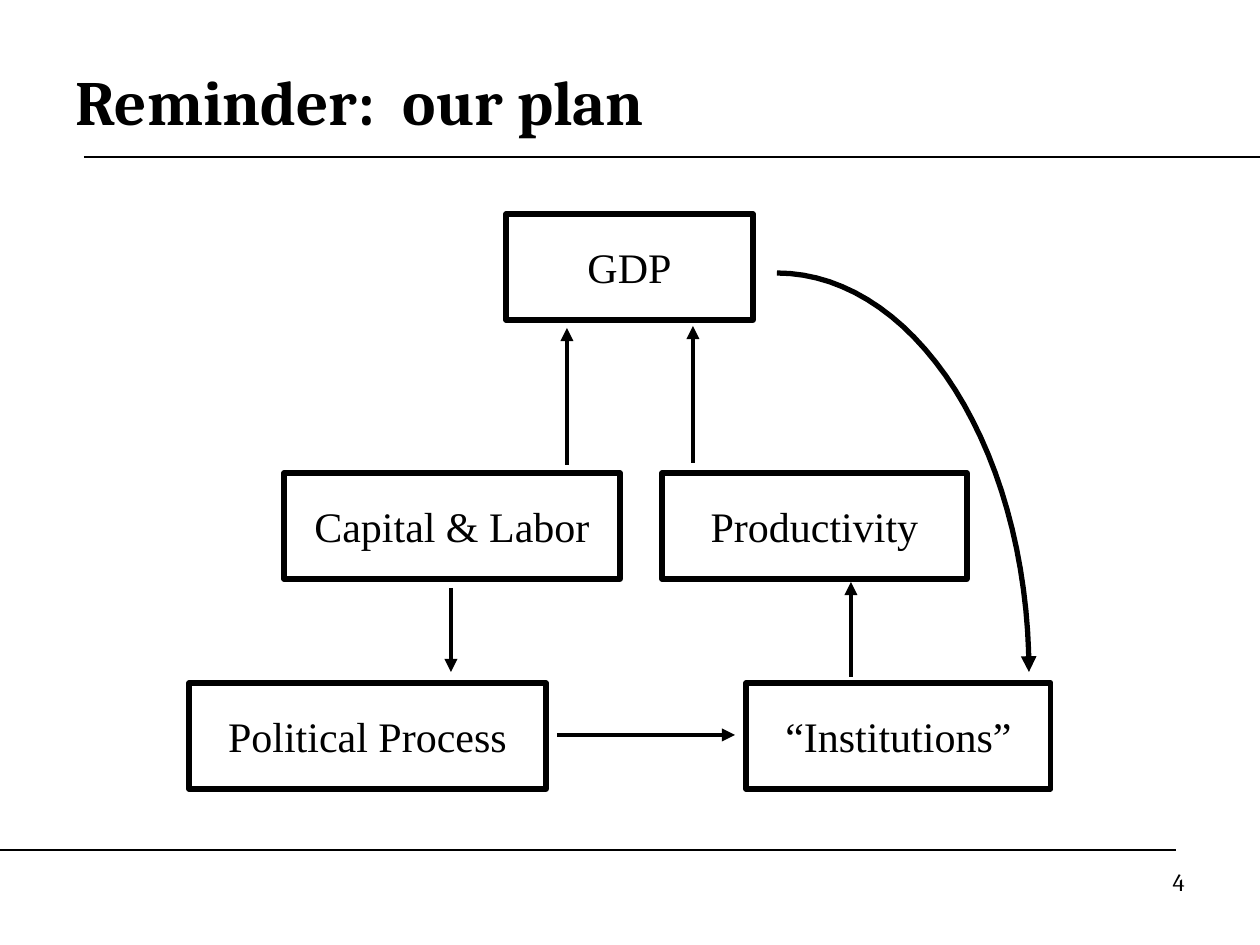
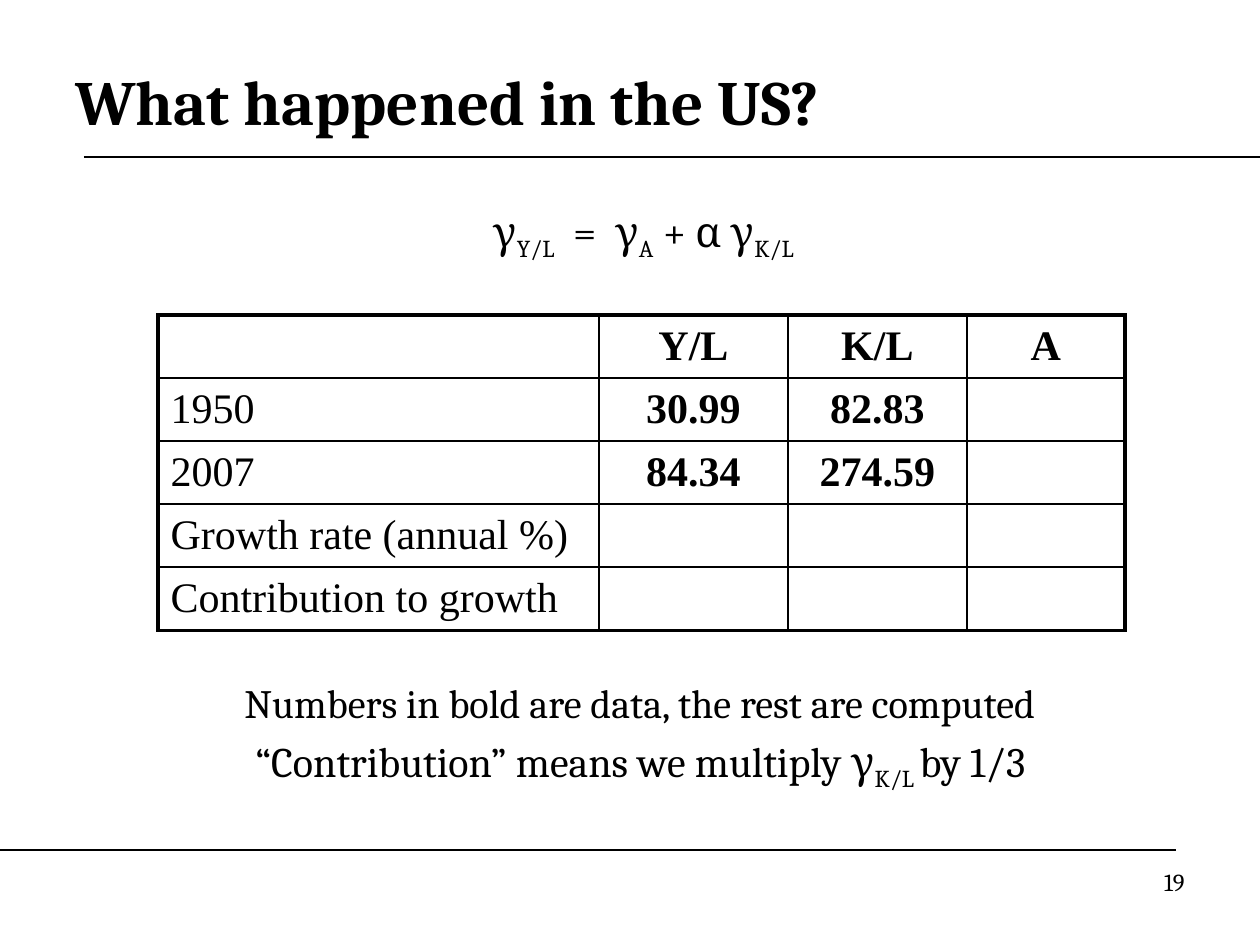
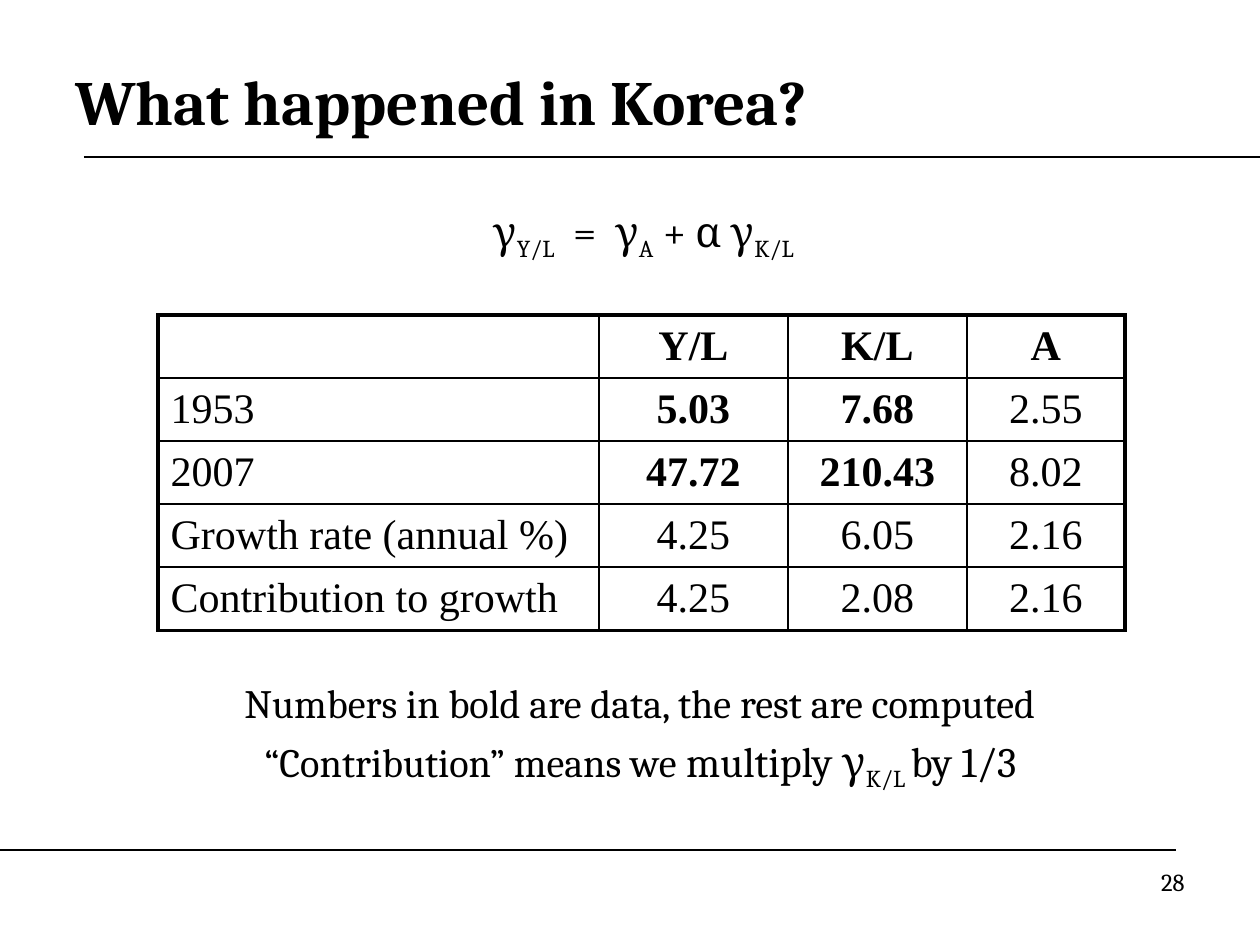
from dataclasses import dataclass
from math import cos, pi, sin

from lxml.etree import SubElement
from pptx import Presentation
from pptx.dml.color import RGBColor
from pptx.enum.shapes import MSO_CONNECTOR, MSO_SHAPE
from pptx.enum.text import MSO_ANCHOR, PP_ALIGN
from pptx.oxml import parse_xml
from pptx.oxml.ns import nsdecls, qn
from pptx.util import Inches, Pt

PX = 914400 // 126  # EMU in one px, at 126 px to the inch


@dataclass(frozen=True)
class Theme:
    ink: RGBColor = RGBColor(0, 0, 0)
    serif: str = "Cambria"
    diagram_face: str = "Times New Roman"
    title: int = 36
    body: int = 24
    note: int = 23
    number: int = 14
    rule: float = 0.75
    arrow: float = 2.5
    frame: float = 3
    table_inner: float = 1
    table_outer: float = 2.25


THEME = Theme()


def style(paragraph, face, size, align=PP_ALIGN.CENTER, bold=False):
    paragraph.alignment = align
    paragraph.font.name = face
    paragraph.font.size = Pt(size)
    paragraph.font.bold = bold
    paragraph.font.color.rgb = THEME.ink


def add_line(slide, ends, width, arrow=False):
    line = slide.shapes.add_connector(MSO_CONNECTOR.STRAIGHT, *(n * PX for n in ends))
    line.line.color.rgb = THEME.ink
    line.line.width = Pt(width)
    if arrow:
        SubElement(line.line._get_or_add_ln(), qn("a:tailEnd"), type="triangle")
    SubElement(line._element.spPr, qn("a:effectLst"))


prs = Presentation()
prs.slide_width, prs.slide_height = Inches(10), Inches(7.5)

# Title, rules and number on every slide
slides = []
for heading, number in (
    ("Reminder:  our plan", 4),
    ("What happened in the US?", 19),
    ("What happened in Korea?", 28),
):
    slide = prs.slides.add_slide(prs.slide_layouts[5])
    slides.append(slide)
    add_line(slide, (84, 157, 1260, 157), THEME.rule)
    add_line(slide, (0, 850, 1176, 850), THEME.rule)

    title = slide.shapes.title
    title.left, title.top, title.width, title.height = (n * PX for n in (63, 42, 1134, 116))
    title.text_frame.text = heading
    title.text_frame.vertical_anchor = MSO_ANCHOR.MIDDLE
    style(title.text_frame.paragraphs[0], THEME.serif, THEME.title, PP_ALIGN.LEFT, True)

    page = slide.shapes.add_textbox(*(n * PX for n in (903, 861, 294, 65))).text_frame
    page.word_wrap = True
    page.text = str(number)
    style(page.paragraphs[0], THEME.serif, THEME.number, PP_ALIGN.RIGHT)

# The plan: boxes, straight arrows, and the arc from GDP to institutions
plan = slides[0]
for label, left, top, width in (
    ("GDP", 506, 214, 247),
    ("Capital & Labor", 284, 473, 336),
    ("Productivity", 662, 473, 305),
    ("Political Process", 189, 683, 357),
    ("“Institutions”", 746, 683, 305),
):
    box = plan.shapes.add_shape(
        MSO_SHAPE.RECTANGLE, *(n * PX for n in (left, top, width, 106)))
    box.shadow.inherit = False
    box.fill.background()
    box.line.color.rgb = THEME.ink
    box.line.width = Pt(THEME.frame)
    frame = box.text_frame
    frame.word_wrap = True
    frame.margin_left = frame.margin_right = frame.margin_top = frame.margin_bottom = 25 * PX
    frame.text = label
    style(frame.paragraphs[0], THEME.diagram_face, THEME.body)

for ends in (
    (567, 465, 567, 328),
    (693, 463, 693, 326),
    (851, 677, 851, 582),
    (557, 735, 735, 735),
    (451, 588, 451, 672),
):
    add_line(plan, ends, THEME.arrow, arrow=True)

ARC_STEPS = 30
angles = [step * pi / 2 / ARC_STEPS for step in range(ARC_STEPS + 1)]
arc_points = [((777 + 252 * sin(a)) * PX, (672 - 399 * cos(a)) * PX) for a in angles]
outline = plan.shapes.build_freeform(*arc_points[0])
outline.add_line_segments(arc_points[1:], close=False)
feedback = outline.convert_to_shape()
feedback.shadow.inherit = False
feedback.fill.background()
feedback.line.color.rgb = THEME.ink
feedback.line.width = Pt(THEME.frame)
SubElement(feedback.line._get_or_add_ln(), qn("a:tailEnd"), type="triangle")

# Growth accounting: equation, table and notes for each country
COLUMNS = (441, 189, 179, 158)
ROW_HEIGHT = 59
HEADER = ("", "Y/L", "K/L", "A")
US = (
    HEADER,
    ("1950", "30.99", "82.83", ""),
    ("2007", "84.34", "274.59", ""),
    ("Growth rate (annual %)", "", "", ""),
    ("Contribution to growth", "", "", ""),
)
KOREA = (
    HEADER,
    ("1953", "5.03", "7.68", "2.55"),
    ("2007", "47.72", "210.43", "8.02"),
    ("Growth rate (annual %)", "4.25", "6.05", "2.16"),
    ("Contribution to growth", "4.25", "2.08", "2.16"),
)
# Every second part is a subscript
EQUATION = ("γ", "Y/L", "  =  γ", "A", " + α γ", "K/L ")
MULTIPLY = ("multiply γ", "K/L ", "by 1/3")

for slide, rows, intro_size in ((slides[1], US, THEME.body), (slides[2], KOREA, THEME.note)):
    table = slide.shapes.add_table(
        len(rows), len(COLUMNS),
        *(n * PX for n in (158, 315, sum(COLUMNS), ROW_HEIGHT * len(rows)))).table
    table.first_row = table.horz_banding = False
    for column, width in zip(table.columns, COLUMNS):
        column.width = width * PX
    last_row, last_column = len(rows) - 1, len(COLUMNS) - 1
    for r, row in enumerate(rows):
        table.rows[r].height = ROW_HEIGHT * PX
        for c, value in enumerate(row):
            cell = table.cell(r, c)
            cell.text = value
            cell.vertical_anchor = MSO_ANCHOR.MIDDLE
            cell.fill.background()
            is_data = r == 0 or (r < 3 and c in (1, 2))
            style(cell.text_frame.paragraphs[0], THEME.diagram_face, THEME.body,
                  PP_ALIGN.CENTER if c else PP_ALIGN.LEFT, is_data)
            edges = {"L": c == 0, "R": c == last_column, "T": r == 0, "B": r == last_row}
            for place, (side, outer) in enumerate(edges.items()):
                weight = Pt(THEME.table_outer if outer else THEME.table_inner)
                cell._tc.get_or_add_tcPr().insert(place, parse_xml(
                    f'<a:ln{side} {nsdecls("a")} w="{weight}"><a:solidFill>'
                    f'<a:srgbClr val="{THEME.ink}"/></a:solidFill></a:ln{side}>'))

    notes = slide.shapes.add_textbox(*(n * PX for n in (84, 672, 1113, 116))).text_frame
    notes.word_wrap = True
    notes.text = "Numbers in bold are data, the rest are computed"
    style(notes.paragraphs[0], THEME.serif, THEME.note)
    contribution = notes.add_paragraph()
    contribution.space_before = Pt(5)
    intro = contribution.add_run()
    intro.text = "“Contribution” means we "
    intro.font.size = Pt(intro_size)

    formula = slide.shapes.add_textbox(*(n * PX for n in (210, 199, 872, 102))).text_frame
    formula.word_wrap = True
    for paragraph, parts in ((contribution, MULTIPLY), (formula.paragraphs[0], EQUATION)):
        style(paragraph, THEME.serif, THEME.body)
        for place, part in enumerate(parts):
            run = paragraph.add_run()
            run.text = part
            if place % 2:
                run._r.get_or_add_rPr().set("baseline", "-25000")

prs.save("out.pptx")
